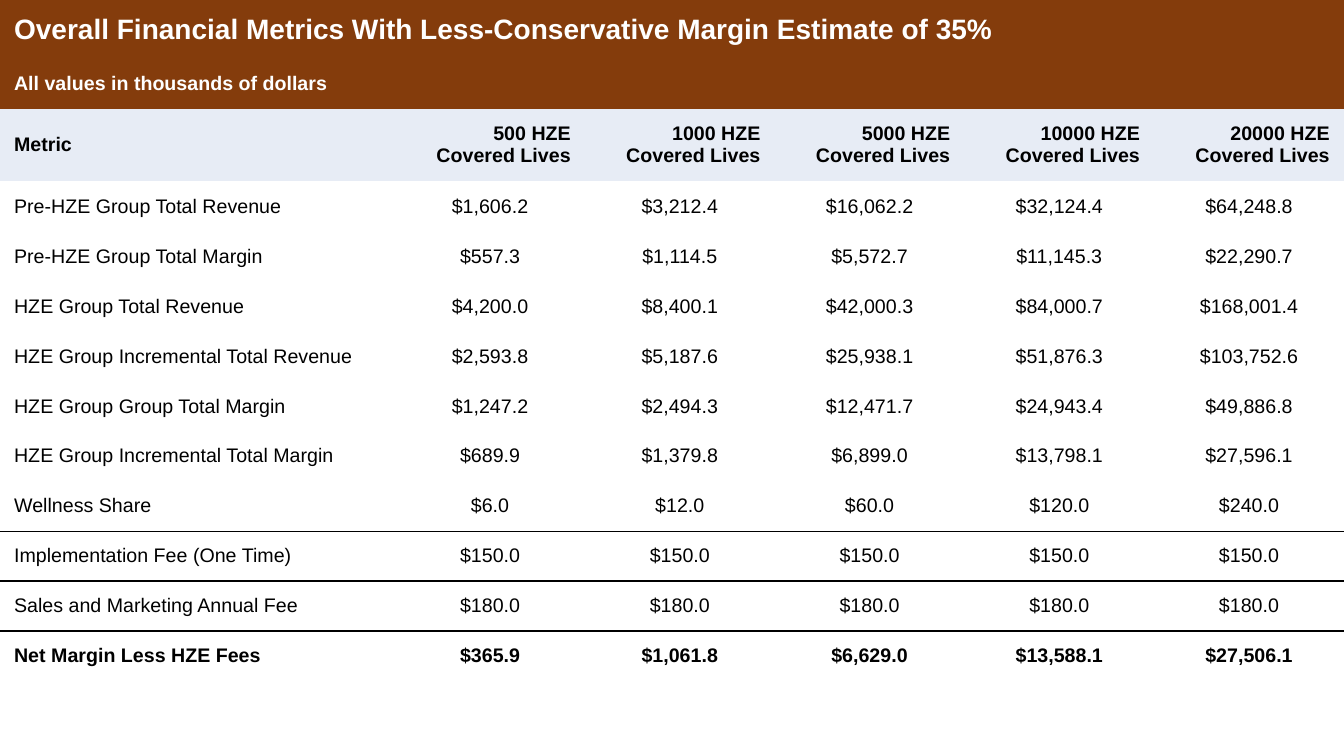
from dataclasses import dataclass

from lxml.etree import SubElement
from pptx import Presentation
from pptx.dml.color import RGBColor
from pptx.enum.text import MSO_ANCHOR, PP_ALIGN
from pptx.oxml.ns import qn
from pptx.table import Table, _Cell
from pptx.util import Inches, Pt

COLORS = {"banner": "843C0C", "header": "E7ECF5", "light": "FFFFFF", "dark": "000000"}
FONT = "Arial"
NO_STYLE_NO_GRID = "{2D5ABB26-0587-4C30-8999-92F81FD0307C}"
SLIDE_WIDTH, SLIDE_HEIGHT = Inches(13.33), Inches(7.5)
METRIC_WIDTH = Inches(3.92)
BODY_HEIGHT = Inches(4.96)
SIDE_MARGIN, END_MARGIN = Inches(0.14), Inches(0.13)


@dataclass(frozen=True)
class RowLook:
    height: int
    size: int = 14
    bold: bool = False
    color: str = "dark"
    fill: str | None = None
    value_align: PP_ALIGN = PP_ALIGN.CENTER
    merged: bool = False
    ruled_below: bool = False


@dataclass(frozen=True)
class MetricRow:
    label: str
    values: tuple[float, ...]
    bold: bool = False
    ruled_below: bool = False


TITLE = "Overall Financial Metrics With Less-Conservative Margin Estimate of 35%"
SUBTITLE = "All values in thousands of dollars"
COVERED_LIVES = (500, 1000, 5000, 10000, 20000)
METRICS = (
    MetricRow("Pre-HZE Group Total Revenue", (1606.2, 3212.4, 16062.2, 32124.4, 64248.8)),
    MetricRow("Pre-HZE Group Total Margin", (557.3, 1114.5, 5572.7, 11145.3, 22290.7)),
    MetricRow("HZE Group Total Revenue", (4200.0, 8400.1, 42000.3, 84000.7, 168001.4)),
    MetricRow("HZE Group Incremental Total Revenue", (2593.8, 5187.6, 25938.1, 51876.3, 103752.6)),
    MetricRow("HZE Group Group Total Margin", (1247.2, 2494.3, 12471.7, 24943.4, 49886.8)),
    MetricRow("HZE Group Incremental Total Margin", (689.9, 1379.8, 6899.0, 13798.1, 27596.1)),
    MetricRow("Wellness Share", (6, 12, 60, 120, 240), ruled_below=True),
    MetricRow("Implementation Fee (One Time)", (150,) * 5),
    MetricRow("Sales and Marketing Annual Fee", (180,) * 5, ruled_below=True),
    MetricRow("Net Margin Less HZE Fees", (365.9, 1061.8, 6629.0, 13588.1, 27506.1), bold=True),
)


def rule_edge(cell: _Cell, edge: str) -> None:
    """Draw a 1 pt rule on one edge; edges come before the fill in the XML."""
    properties = cell._tc.get_or_add_tcPr()
    rule = SubElement(properties, qn(f"a:{edge}"), w=str(Pt(1)))
    properties.insert(0, rule)
    solid = SubElement(rule, qn("a:solidFill"))
    SubElement(solid, qn("a:srgbClr"), val=COLORS["dark"])


def write_cell(cell: _Cell, text: str, look: RowLook, align: PP_ALIGN) -> None:
    cell.vertical_anchor = MSO_ANCHOR.MIDDLE
    cell.margin_left = cell.margin_right = SIDE_MARGIN
    cell.margin_top = cell.margin_bottom = END_MARGIN
    if look.fill:
        cell.fill.solid()
        cell.fill.fore_color.rgb = RGBColor.from_string(COLORS[look.fill])
    else:
        cell.fill.background()
    paragraph = cell.text_frame.paragraphs[0]
    paragraph.alignment = align
    run = paragraph.add_run()
    run.text = text
    run.font.name = FONT
    run.font.size = Pt(look.size)
    run.font.bold = look.bold
    run.font.color.rgb = RGBColor.from_string(COLORS[look.color])


def write_row(table: Table, index: int, texts: list[str], look: RowLook) -> None:
    table.rows[index].height = look.height
    if look.merged:
        table.cell(index, 0).merge(table.cell(index, len(COVERED_LIVES)))
    for column, text in enumerate(texts):
        align = look.value_align if column else PP_ALIGN.LEFT
        write_cell(table.cell(index, column), text, look, align)
        if look.ruled_below:
            rule_edge(table.cell(index, column), "lnB")
            rule_edge(table.cell(index + 1, column), "lnT")


def main() -> None:
    presentation = Presentation()
    presentation.slide_width, presentation.slide_height = SLIDE_WIDTH, SLIDE_HEIGHT
    slide = presentation.slides.add_slide(presentation.slide_layouts[6])

    # Banner and column headings
    rows = [
        ([TITLE], RowLook(Inches(0.59), 20, True, "light", "banner", merged=True)),
        ([SUBTITLE], RowLook(Inches(0.49), 14, True, "light", "banner", merged=True)),
        (
            ["Metric"] + [f"{lives} HZE Covered Lives" for lives in COVERED_LIVES],
            RowLook(Inches(0.72), bold=True, fill="header", value_align=PP_ALIGN.RIGHT),
        ),
    ]

    # Metrics
    metric_height = BODY_HEIGHT // len(METRICS)
    for metric in METRICS:
        look = RowLook(metric_height, bold=metric.bold, ruled_below=metric.ruled_below)
        rows.append(([metric.label] + [f"${value:,.1f}" for value in metric.values], look))

    # Table
    table_height = sum(look.height for _, look in rows)
    table = slide.shapes.add_table(
        len(rows), 1 + len(COVERED_LIVES), 0, 0, SLIDE_WIDTH, table_height
    ).table
    table.first_row = table.horz_banding = False
    table._tbl.tblPr.find(qn("a:tableStyleId")).text = NO_STYLE_NO_GRID
    for position, column in enumerate(table.columns):
        value_width = (SLIDE_WIDTH - METRIC_WIDTH) // len(COVERED_LIVES)
        column.width = value_width if position else METRIC_WIDTH
    for index, (texts, look) in enumerate(rows):
        write_row(table, index, texts, look)

    presentation.save("out.pptx")


if __name__ == "__main__":
    main()
